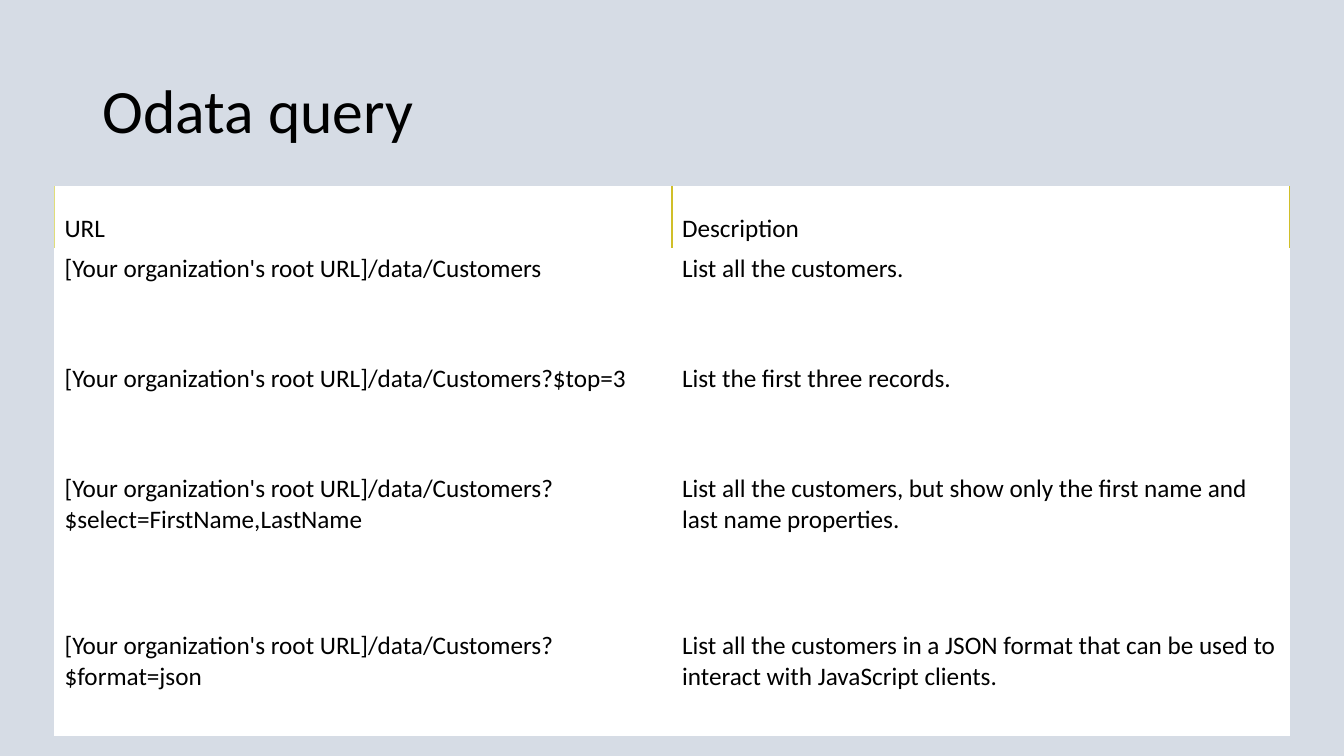
from pptx import Presentation
from pptx.dml.color import RGBColor
from pptx.enum.text import MSO_ANCHOR
from pptx.oxml import parse_xml
from pptx.oxml.ns import nsdecls
from pptx.util import Inches, Pt

TITLE = "Odata query"
HEADINGS = ("URL", "Description")
ROOT = "[Your organization's root URL]/data/Customers"
QUERIES = [
    ("", "List all the customers."),
    ("?$top=3", "List the first three records."),
    ("?$select=FirstName,LastName",
     "List all the customers, but show only the first name and last name properties."),
    ("?$format=json",
     "List all the customers in a JSON format that can be used to interact with JavaScript clients."),
]
COLORS = {
    "background": "D6DCE5",
    "text": "000000",
    "cell": "FFFFFF",
    "outer_rule": "E0DD79",
    "rule": "D0BF29",
}
FONT = "Calibri"
COLUMN_WIDTH = 6.125
ROW_HEIGHTS = [0.62, 1.09, 1.09, 1.56, 1.09]


def rgb(name):
    return RGBColor.from_string(COLORS[name])


def write(frame, text, size):
    frame.text = text
    font = frame.paragraphs[0].runs[0].font
    font.name, font.size, font.bold = FONT, Pt(size), False
    font.color.rgb = rgb("text")


def set_borders(cell, left, right, side_width):
    sides = [("L", left, side_width), ("R", right, side_width),
             ("T", "cell", 0.75), ("B", "cell", 0.75)]
    properties = cell._tc.get_or_add_tcPr()
    for position, (side, color, width) in enumerate(sides):
        properties.insert(position, parse_xml(
            f'<a:ln{side} {nsdecls("a")} w="{Pt(width)}"><a:solidFill>'
            f'<a:srgbClr val="{COLORS[color]}"/></a:solidFill></a:ln{side}>'))


def main():
    deck = Presentation()
    deck.slide_width, deck.slide_height = Inches(13.33), Inches(7.5)
    slide = deck.slides.add_slide(deck.slide_layouts[6])
    slide.background.fill.solid()
    slide.background.fill.fore_color.rgb = rgb("background")

    title = slide.shapes.add_textbox(Inches(0.92), Inches(0.4), Inches(11.5), Inches(1.45)).text_frame
    title.word_wrap = True
    title.vertical_anchor = MSO_ANCHOR.MIDDLE
    write(title, TITLE, 44)
    title.paragraphs[0].line_spacing = 0.9

    rows = [HEADINGS] + [(ROOT + option, description) for option, description in QUERIES]
    queries = slide.shapes.add_table(
        len(rows), len(HEADINGS), Inches(0.54), Inches(1.85),
        Inches(COLUMN_WIDTH * len(HEADINGS)), Inches(sum(ROW_HEIGHTS))).table
    queries.horz_banding = False
    for column in queries.columns:
        column.width = Inches(COLUMN_WIDTH)
    for r, (texts, height) in enumerate(zip(rows, ROW_HEIGHTS)):
        queries.rows[r].height = Inches(height)
        for c, text in enumerate(texts):
            cell = queries.cell(r, c)
            write(cell.text_frame, text, 18)
            cell.fill.solid()
            cell.fill.fore_color.rgb = rgb("cell")
            if r == 0:
                cell.vertical_anchor = MSO_ANCHOR.BOTTOM
                set_borders(cell, "rule" if c else "outer_rule", "rule", 1)
            else:
                set_borders(cell, "cell", "cell", 0.75)

    deck.save("out.pptx")


if __name__ == "__main__":
    main()
